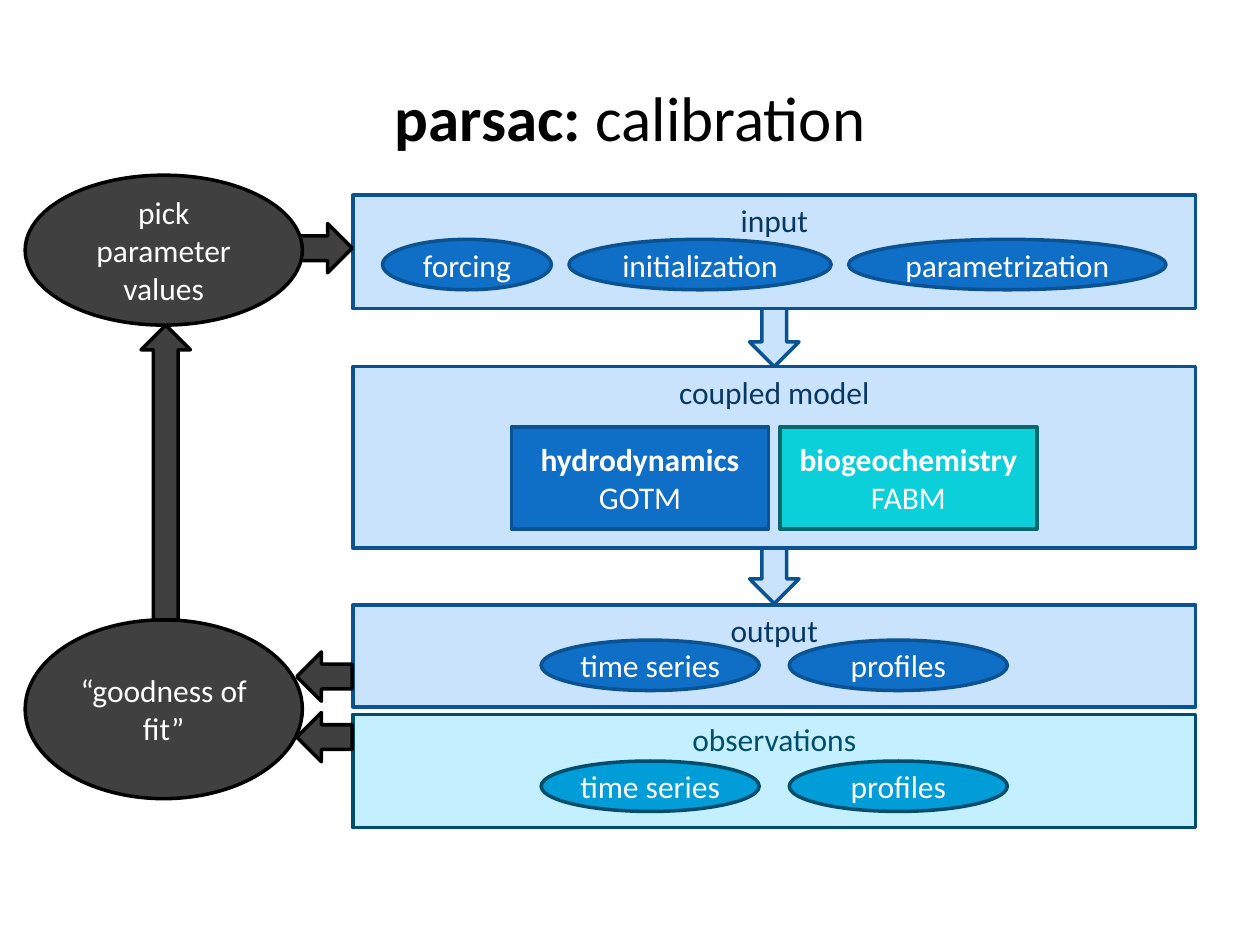
from pptx import Presentation
from pptx import util as u
from pptx.dml.color import RGBColor
from pptx.enum import shapes, text

THEME = {
    "font": "Calibri", "title_size": 36, "body_size": 18, "line": 2,
    "title": "000000",
    "panel": ("C8E3FB", "0B5292", "083763"),
    "model": ("0F6FC6", "0B5292", "FFFFFF"),
    "biology": ("0BD0D9", "06686C", "FFFFFF"),
    "data_panel": ("C4EFFF", "004E6C", "004E6C"),
    "data": ("009DD9", "004E6C", "FFFFFF"),
    "control": ("404040", "000000", "FFFFFF"),
}
RECTANGLE = shapes.MSO_SHAPE.RECTANGLE
OVAL = shapes.MSO_SHAPE.OVAL
ARROW = shapes.MSO_SHAPE.DOWN_ARROW

TITLE = [("parsac:", True), (" calibration", False)]
SERIES = [([("time series", False)], 124.6), ([("profiles", False)], 124.6)]
INPUTS = [([("forcing", False)], 96.5), ([("initialization", False)], 149.8),
          ([("parametrization", False)], 181.4)]
MODELS = [([("hydrodynamics", True), ("GOTM", False)], 146.9),
          ([("biogeochemistry", True), ("FABM", False)], 146.9)]

PANEL_LEFT, PANEL_WIDTH = 201.6, 481.7
PANEL_CENTER = PANEL_LEFT + PANEL_WIDTH / 2
ARROW_WIDTH = 28.2
PANELS = [
    {"name": "output", "top": 345.6, "height": 58.3, "style": "panel", "items": SERIES,
     "kind": OVAL, "gap": 17.2, "item_top": 365.8, "item_height": 28.8, "styles": ["model"] * 2},
    {"name": "coupled model", "top": 209.5, "height": 103.7, "style": "panel", "items": MODELS,
     "kind": RECTANGLE, "gap": 6.5, "item_top": 244.1, "item_height": 58.3,
     "styles": ["model", "biology"]},
    {"name": "input", "top": 111.6, "height": 64.8, "style": "panel", "items": INPUTS,
     "kind": OVAL, "gap": 10, "item_top": 136.8, "item_height": 28.8, "styles": ["model"] * 3},
    {"name": "observations", "top": 408.2, "height": 64.8, "style": "data_panel",
     "items": SERIES, "kind": OVAL, "gap": 17.2, "item_top": 434.9, "item_height": 28.8,
     "styles": ["data"] * 2},
]
FLOW_ARROWS = [(PANEL_CENTER, 190.8, 37.4, 0, "panel"), (PANEL_CENTER, 326.2, 37.4, 0, "panel")]
INPUT_ARROW = (182.6, 141.8, 37.4, 270, "control")
FIT_ARROWS = [(185.4, 386.6, 31.7, 90, "control"), (185.4, 421.2, 31.7, 90, "control")]
RETURN_ARROW = (94.7, 270, 168.5, 180, "control")
STEPS = [("pick parameter values", 100.1, 85.7), ("“goodness of fit”", 354.2, 102.2)]


def write_run(paragraph, content, bold, size, color):
    run = paragraph.add_run()
    run.text = content
    run.font.name = THEME["font"]
    run.font.size = u.Pt(size)
    run.font.bold = bold
    run.font.color.rgb = RGBColor.from_string(color)


def add_shape(slide, kind, left, top, width, height, style, lines=(),
              anchor=text.MSO_ANCHOR.MIDDLE, wrap=True):
    fill, line, color = THEME[style]
    shape = slide.shapes.add_shape(kind, u.Pt(left), u.Pt(top), u.Pt(width), u.Pt(height))
    shape.shadow.inherit = False
    shape.fill.solid()
    shape.fill.fore_color.rgb = RGBColor.from_string(fill)
    shape.line.color.rgb = RGBColor.from_string(line)
    shape.line.width = u.Pt(THEME["line"])
    frame = shape.text_frame
    frame.word_wrap = wrap
    frame.vertical_anchor = anchor
    for index, (content, bold) in enumerate(lines):
        paragraph = frame.add_paragraph() if index else frame.paragraphs[0]
        paragraph.alignment = text.PP_ALIGN.CENTER
        write_run(paragraph, content, bold, THEME["body_size"], color)
    return shape


def add_arrow(slide, center_x, center_y, length, rotation, style):
    arrow = add_shape(slide, ARROW, center_x - ARROW_WIDTH / 2, center_y - length / 2,
                      ARROW_WIDTH, length, style)
    arrow.rotation = rotation


def add_panel(slide, panel):
    add_shape(slide, RECTANGLE, PANEL_LEFT, panel["top"], PANEL_WIDTH, panel["height"],
              panel["style"], [(panel["name"], False)], text.MSO_ANCHOR.TOP)
    items, gap = panel["items"], panel["gap"]
    left = PANEL_CENTER - (sum(width for _, width in items) + gap * (len(items) - 1)) / 2
    for (lines, width), style in zip(items, panel["styles"]):
        add_shape(slide, panel["kind"], left, panel["item_top"], width, panel["item_height"],
                  style, lines, wrap=panel["kind"] == RECTANGLE)
        left += width + gap


def add_title(slide):
    title = slide.shapes.title
    title.left, title.top, title.width, title.height = map(u.Pt, (36, 21.6, 648, 90))
    title.text_frame.vertical_anchor = text.MSO_ANCHOR.MIDDLE
    paragraph = title.text_frame.paragraphs[0]
    paragraph.alignment = text.PP_ALIGN.CENTER
    for content, bold in TITLE:
        write_run(paragraph, content, bold, THEME["title_size"], THEME["title"])


def main():
    presentation = Presentation()
    presentation.slide_width, presentation.slide_height = u.Pt(720), u.Pt(540)
    slide = presentation.slides.add_slide(presentation.slide_layouts[5])
    add_title(slide)
    for arrow in FLOW_ARROWS:
        add_arrow(slide, *arrow)
    for panel in PANELS:
        add_panel(slide, panel)
    for arrow in [INPUT_ARROW, *FIT_ARROWS]:
        add_arrow(slide, *arrow)
    for name, top, height in STEPS:
        add_shape(slide, OVAL, 14.4, top, 158.4, height, "control", [(name, False)])
    add_arrow(slide, *RETURN_ARROW)
    presentation.save("out.pptx")


if __name__ == "__main__":
    main()
